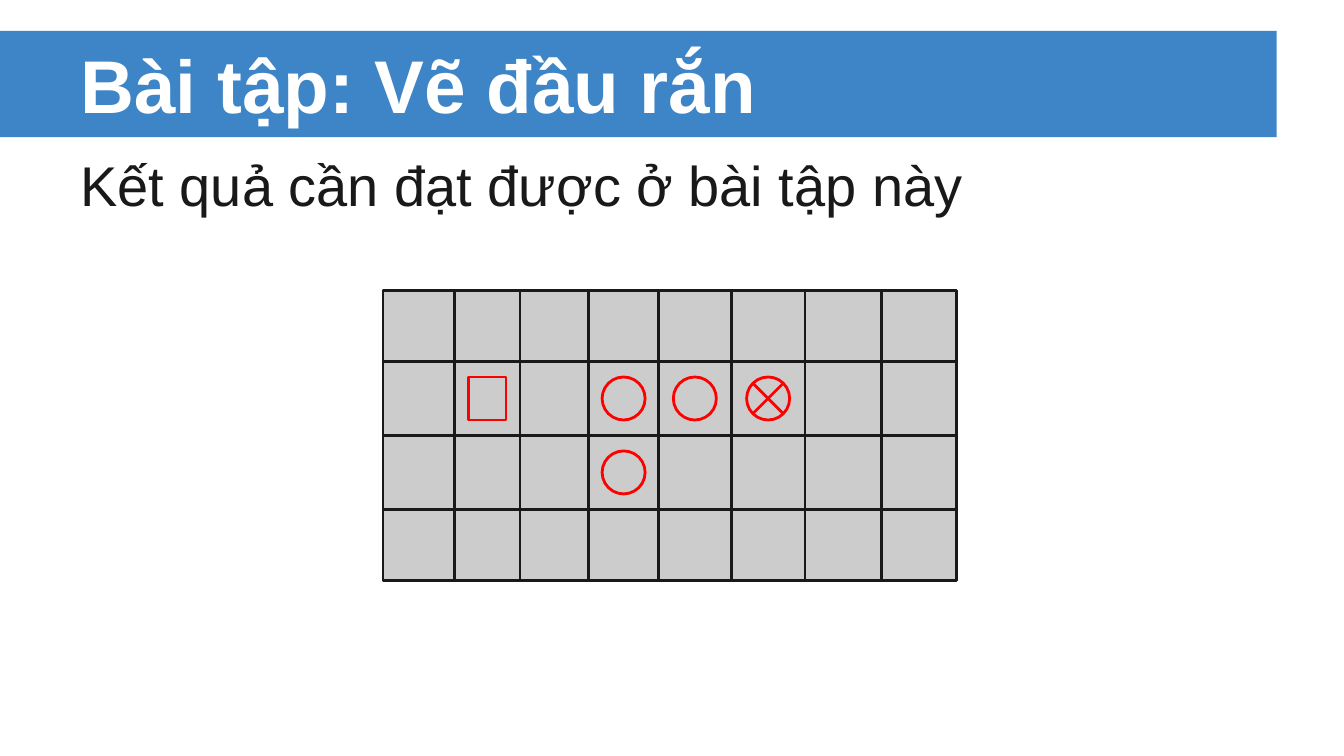
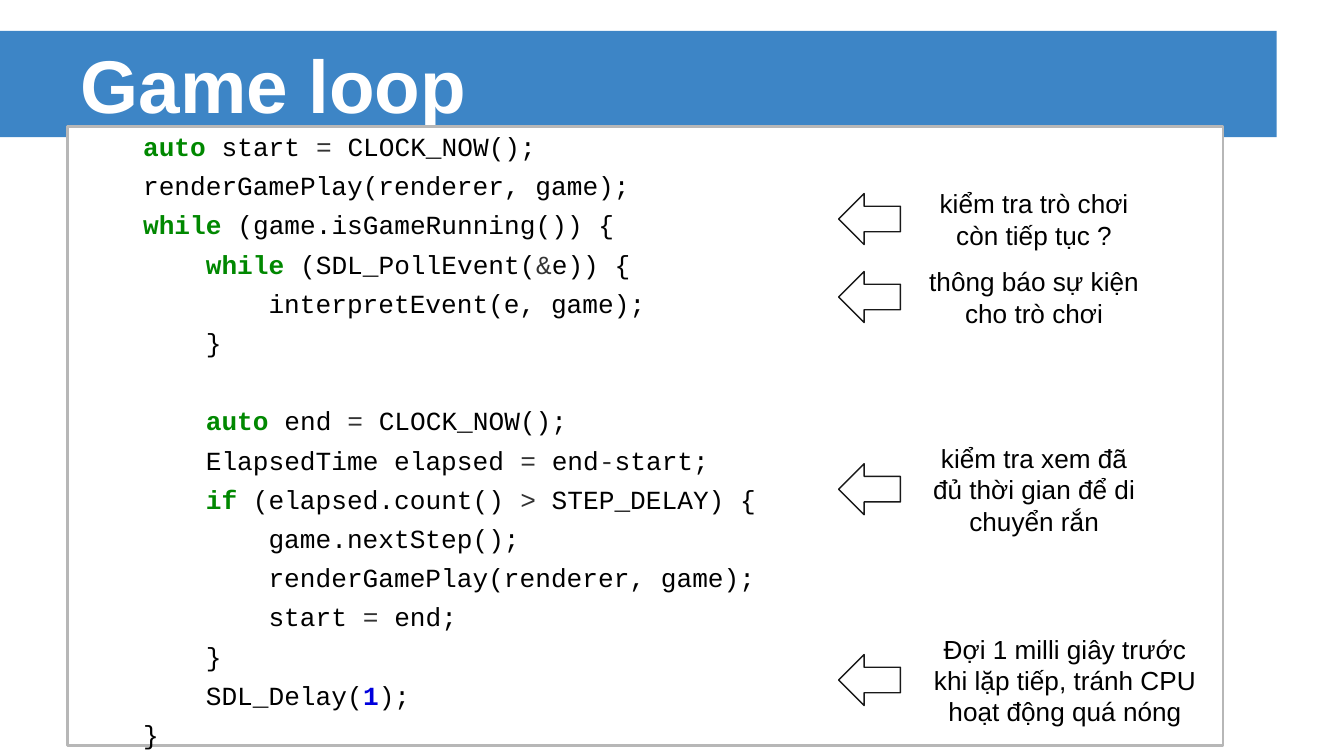
from lxml.etree import SubElement
from pptx import Presentation
from pptx.dml.color import RGBColor
from pptx.enum.shapes import MSO_CONNECTOR, MSO_SHAPE
from pptx.enum.text import MSO_ANCHOR, MSO_AUTO_SIZE, PP_ALIGN
from pptx.oxml.ns import qn
from pptx.util import Inches, Pt

BLUE = RGBColor(0x3D, 0x85, 0xC6)
WHITE = RGBColor(0xFF, 0xFF, 0xFF)
BLACK = RGBColor(0x00, 0x00, 0x00)
DARK = RGBColor(0x19, 0x19, 0x19)
CELL_GRAY = RGBColor(0xCC, 0xCC, 0xCC)
FRAME_GRAY = RGBColor(0xB7, 0xB7, 0xB7)
RED = RGBColor(0xFF, 0x00, 0x00)
KEYWORD = RGBColor(0x00, 0x88, 0x00)
OPERATOR = RGBColor(0x33, 0x33, 0x33)
NUMBER = RGBColor(0x00, 0x00, 0xDD)

TEXT_FONT = "Arial"
CODE_FONT = "Courier New"
CODE_INDENT = Pt(33.6)

TOKEN_STYLES = {
    "auto": (KEYWORD, True),
    "while": (KEYWORD, True),
    "if": (KEYWORD, True),
    "=": (OPERATOR, False),
    "&": (OPERATOR, False),
    "-": (OPERATOR, False),
    ">": (OPERATOR, False),
    "1": (NUMBER, True),
}

CODE_LINES = [
    (1, "auto| start |=| CLOCK_NOW();"),
    (1, "renderGamePlay(renderer, game);"),
    (1, "while| (game.isGameRunning()) {"),
    (2, "while| (SDL_PollEvent(|&|e)) {"),
    (3, "interpretEvent(e, game);"),
    (2, "}"),
    (2, "auto| end |=| CLOCK_NOW();"),
    (2, "ElapsedTime elapsed |=| end|-|start;"),
    (2, "if| (elapsed.count() |>| STEP_DELAY) {"),
    (3, "game.nextStep();"),
    (3, "renderGamePlay(renderer, game);"),
    (3, "start |=| end;"),
    (2, "}"),
    (2, "SDL_Delay(|1|);"),
    (1, "}"),
]
LINE_AFTER_GAP = 6

NOTES = [
    (1.29, 1.77, "kiểm tra trò chơi còn tiếp tục ?"),
    (1.87, 1.77, "thông báo sự kiện cho trò chơi"),
    (3.3, 1.77, "kiểm tra xem đã đủ thời gian để di chuyển rắn"),
    (4.72, 2.23, "Đợi 1 milli giây trước khi lặp tiếp, tránh CPU hoạt động quá nóng"),
]

COLUMN_EDGES = [2.85, 3.38, 3.87, 4.38, 4.9, 5.44, 5.99, 6.56, 7.12]
ROW_EDGES = [2.16, 2.69, 3.24, 3.79, 4.32]
SNAKE_CELLS = [(3, 2), (3, 1), (4, 1), (5, 1)]
HEAD_CELL = SNAKE_CELLS[-1]
FOOD_CELL = (1, 1)


def add_box(slide, preset, left, top, width, height, fill=None, line=None, weight=1.5):
    shape = slide.shapes.add_shape(
        preset, Inches(left), Inches(top), Inches(width), Inches(height)
    )
    shape.shadow.inherit = False
    if fill is None:
        shape.fill.background()
    else:
        shape.fill.solid()
        shape.fill.fore_color.rgb = fill
    if line is None:
        shape.line.fill.background()
    else:
        shape.line.color.rgb = line
        shape.line.width = Pt(weight)
    return shape


def add_line(slide, start, end, color):
    points = [Inches(value) for value in (*start, *end)]
    connector = slide.shapes.add_connector(MSO_CONNECTOR.STRAIGHT, *points)
    connector.line.color.rgb = color
    connector.line.width = Pt(1.5)
    SubElement(connector.element.spPr, qn("a:effectLst"))
    return connector


def format_frame(frame, anchor):
    frame.word_wrap = True
    frame.auto_size = MSO_AUTO_SIZE.NONE
    frame.vertical_anchor = anchor
    frame.margin_left = frame.margin_right = Inches(0.1)
    frame.margin_top = frame.margin_bottom = Inches(0.1)


def write_text(shape, text, size, color, anchor, alignment=PP_ALIGN.LEFT, bold=False):
    format_frame(shape.text_frame, anchor)
    paragraph = shape.text_frame.paragraphs[0]
    paragraph.text = text
    paragraph.alignment = alignment
    paragraph.font.name = TEXT_FONT
    paragraph.font.size = Pt(size)
    paragraph.font.bold = bold
    paragraph.font.color.rgb = color
    return paragraph


def add_text(slide, left, top, width, height, *style):
    box = slide.shapes.add_textbox(
        Inches(left), Inches(top), Inches(width), Inches(height)
    )
    return write_text(box, *style)


def add_title_slide(presentation, layout, title_text):
    slide = presentation.slides.add_slide(layout)
    title = slide.shapes.title
    title.left, title.top = Inches(0.5), Inches(0.23)
    title.width, title.height = Inches(9), Inches(0.79)
    write_text(title, title_text, 40, WHITE, MSO_ANCHOR.MIDDLE, PP_ALIGN.LEFT, True)
    return slide


def move_band_to_layout(slide, layout):
    band = add_box(slide, MSO_SHAPE.RECTANGLE, 0, 0.23, 9.5, 0.79, BLUE)
    layout.shapes.element.insert(2, band.element)


def cell_center(cell):
    column, row = cell
    return (
        sum(COLUMN_EDGES[column:column + 2]) / 2,
        sum(ROW_EDGES[row:row + 2]) / 2,
    )


def add_piece(slide, preset, cell, width, height):
    x, y = cell_center(cell)
    add_box(slide, preset, x - width / 2, y - height / 2, width, height, CELL_GRAY, RED)


def add_board(slide):
    left, right = COLUMN_EDGES[0], COLUMN_EDGES[-1]
    top, bottom = ROW_EDGES[0], ROW_EDGES[-1]
    board = add_box(
        slide, MSO_SHAPE.RECTANGLE, left, top, right - left, bottom - top, CELL_GRAY, DARK
    )
    for x in COLUMN_EDGES[1:-1]:
        add_line(slide, (x, top), (x, bottom), DARK)
    for y in ROW_EDGES[1:-1]:
        row_line = add_line(slide, (left, y), (right, y), DARK)
        if y == ROW_EDGES[2]:
            row_line.begin_connect(board, 1)
            row_line.end_connect(board, 3)


def add_snake(slide):
    for cell in SNAKE_CELLS:
        add_piece(slide, MSO_SHAPE.OVAL, cell, 0.32, 0.32)
    add_piece(slide, MSO_SHAPE.RECTANGLE, FOOD_CELL, 0.28, 0.32)
    x, y = cell_center(HEAD_CELL)
    reach = 0.11
    for rise in (reach, -reach):
        add_line(slide, (x - reach, y + rise), (x + reach, y - rise), RED)


def add_code(slide):
    panel = add_box(
        slide, MSO_SHAPE.RECTANGLE, 0.5, 0.94, 8.6, 4.61, WHITE, FRAME_GRAY
    )
    frame = panel.text_frame
    format_frame(frame, MSO_ANCHOR.MIDDLE)
    for index, (level, line) in enumerate(CODE_LINES):
        paragraph = frame.paragraphs[0] if index == 0 else frame.add_paragraph()
        paragraph.alignment = PP_ALIGN.LEFT
        paragraph.line_spacing = 1.25
        paragraph.font.name = CODE_FONT
        paragraph.font.size = Pt(14)
        paragraph._p.get_or_add_pPr().set("marL", str(level * CODE_INDENT))
        if index == LINE_AFTER_GAP:
            paragraph.space_before = Pt(21)
        for token in line.split("|"):
            run = paragraph.add_run()
            run.text = token
            color, bold = TOKEN_STYLES.get(token, (BLACK, False))
            run.font.color.rgb = color
            run.font.bold = bold


def add_note(slide, top, width, text):
    add_box(slide, MSO_SHAPE.LEFT_ARROW, 6.24, top + 0.15, 0.46, 0.38, None, DARK, 0.75)
    add_text(
        slide, 6.81, top, width, 0.68,
        text, 14, BLACK, MSO_ANCHOR.MIDDLE, PP_ALIGN.CENTER,
    )


def main():
    presentation = Presentation()
    presentation.slide_width = Inches(10)
    presentation.slide_height = Inches(10 * 9 / 16)
    layout = presentation.slide_layouts[5]

    exercise = add_title_slide(presentation, layout, "Bài tập: Vẽ đầu rắn")
    move_band_to_layout(exercise, layout)
    goal = add_text(
        exercise, 0.5, 1.02, 9, 4.37,
        "Kết quả cần đạt được ở bài tập này", 30, DARK, MSO_ANCHOR.TOP,
    )
    goal.space_before = Pt(6)
    add_board(exercise)
    add_snake(exercise)

    game_loop = add_title_slide(presentation, layout, "Game loop")
    add_code(game_loop)
    for note in NOTES:
        add_note(game_loop, *note)

    presentation.save("out.pptx")


if __name__ == "__main__":
    main()
